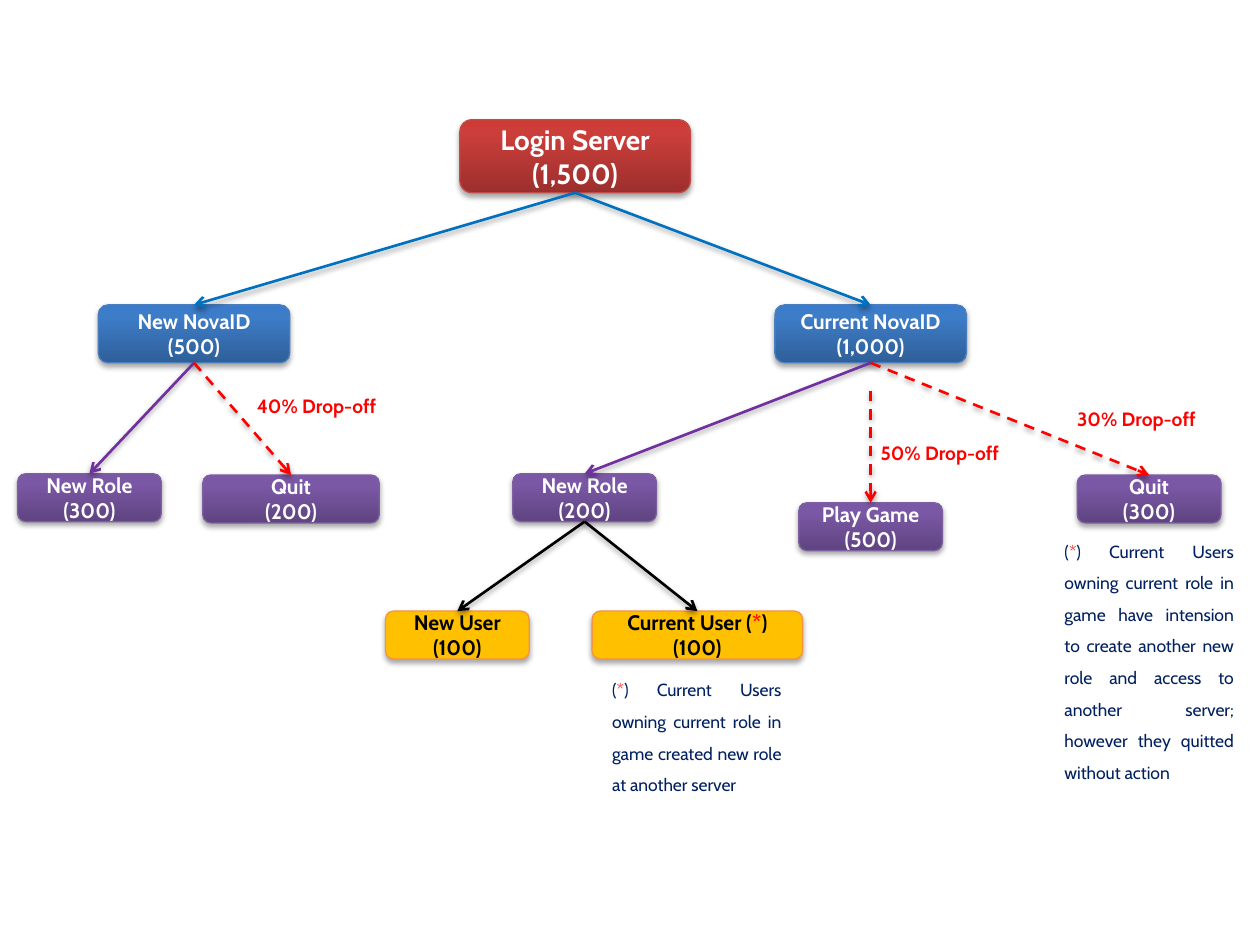
from copy import deepcopy
from dataclasses import dataclass

from lxml import etree
from pptx import Presentation
from pptx.dml.color import RGBColor
from pptx.enum.dml import MSO_LINE
from pptx.enum.shapes import MSO_CONNECTOR, MSO_SHAPE
from pptx.enum.text import MSO_ANCHOR, MSO_AUTO_SIZE, PP_ALIGN
from pptx.oxml.ns import qn
from pptx.util import Inches, Pt

ROUND = MSO_SHAPE.ROUNDED_RECTANGLE
STRAIGHT = MSO_CONNECTOR.STRAIGHT
DASH = MSO_LINE.DASH
MIDDLE = MSO_ANCHOR.MIDDLE
FIT = MSO_AUTO_SIZE.SHAPE_TO_FIT_TEXT
LEFT, CENTER, JUSTIFY = PP_ALIGN.LEFT, PP_ALIGN.CENTER, PP_ALIGN.JUSTIFY
TOP, BOTTOM = 0, 2
WIDE, HIGH = 10, 7.5
COLS, ROWS = 100, 75


@dataclass(frozen=True)
class Look:
    """Fill stops, edge and text colour of one kind of box."""
    fill: tuple
    edge: str
    ink: str = "FFFFFF"


@dataclass(frozen=True)
class Theme:
    """Colours and type sizes of the slide."""
    font: str = "Cabin"
    root: Look = Look(("9C2F2D", "CB3E3A", "CE3B37"), "BF4C48")
    login: Look = Look(("2F5F99", "3D7CC7", "3A7CCB"), "4B7EBC")
    role: Look = Look(("5F4480", "7B58A6", "7C57A8"), "7D60A0")
    user: Look = Look(("FFC000",), "F69240", "000000")
    blue: str = "0070C0"
    purple: str = "7030A0"
    black: str = "000000"
    red: str = "FF0000"
    navy: str = "002060"
    head: int = 16
    body: int = 12
    label: int = 11
    note: int = 10


class Chart:
    """Draws the parts of the tree on one slide."""

    def __init__(self, deck, theme):
        """Add a blank slide to the deck."""
        self.theme = theme
        self.slide = deck.slides.add_slide(deck.slide_layouts[6])
        self.shapes = self.slide.shapes

    def spot(self, col, row):
        """Turn a grid place into lengths."""
        return Inches(col * WIDE / COLS), Inches(row * HIGH / ROWS)

    def letter(self, para, text, size, ink, bold, align):
        """Fill a paragraph, with each star in red."""
        para.alignment = align
        font = para.font
        font.name, font.size, font.bold = self.theme.font, Pt(size), bold
        font.color.rgb = RGBColor.from_string(ink)
        for part in text.replace("*", "|*|").split("|"):
            run = para.add_run()
            run.text = part
            if part == "*":
                run.font.color.rgb = RGBColor.from_string(self.theme.red)

    def paint(self, shape, tones):
        """Fill a shape with one tone or with an upward blend."""
        fill = shape.fill
        if len(tones) == 1:
            fill.solid()
            fill.fore_color.rgb = RGBColor.from_string(tones[0])
            return
        fill.gradient()
        fill.gradient_angle = 90
        stops = shape.element.spPr.find(".//" + qn("a:gsLst"))
        stops.insert(1, deepcopy(stops[0]))
        for stop, tone, place in zip(fill.gradient_stops, tones, (0, 0.8, 1)):
            stop.color.rgb = RGBColor.from_string(tone)
            stop.position = place

    def box(self, col, row, wide, high, name, count, look, size=None):
        """Add a rounded box with a name and a count."""
        shape = self.shapes.add_shape(
            ROUND, *self.spot(col, row), *self.spot(wide, high))
        self.paint(shape, look.fill)
        shape.line.color.rgb = RGBColor.from_string(look.edge)
        shape.line.width = Pt(0.75)
        frame = shape.text_frame
        frame.word_wrap, frame.vertical_anchor = True, MIDDLE
        paras = frame.paragraphs[0], frame.add_paragraph()
        for para, text in zip(paras, (name, f"({count})")):
            self.letter(para, text, size or self.theme.body, look.ink, True, CENTER)
        return shape

    def arrow(self, start, end, tone, dash=False):
        """Join a box or a grid place to the top of a box."""
        free = isinstance(start, tuple)
        place = self.spot(*start) if free else (0, 0)
        line = self.shapes.add_connector(STRAIGHT, *place, *place)
        if not free:
            line.begin_connect(start, BOTTOM)
        line.end_connect(end, TOP)
        line.line.color.rgb = RGBColor.from_string(tone)
        line.line.width = Pt(1.5)
        if dash:
            line.line.dash_style = DASH
        edge = line.element.spPr.find(qn("a:ln"))
        etree.SubElement(edge, qn("a:tailEnd"), type="arrow")

    def text(self, col, row, wide, high, text, size, ink, bold, align):
        """Add a wrapped text box and return its paragraph."""
        shape = self.shapes.add_textbox(
            *self.spot(col, row), *self.spot(wide, high))
        frame = shape.text_frame
        frame.word_wrap, frame.auto_size = True, FIT
        self.letter(frame.paragraphs[0], text, size, ink, bold, align)
        return frame.paragraphs[0]

    def label(self, col, row, share):
        """Add a drop-off label."""
        self.text(col, row, 13.3, 2.9, f"{share}% Drop-off",
                  self.theme.label, self.theme.red, True, LEFT)

    def note(self, col, row, high, text):
        """Add a justified footnote."""
        para = self.text(col, row, 15.4, high,
                         f"(*) Current Users owning current role in game {text}",
                         self.theme.note, self.theme.navy, False, JUSTIFY)
        para.line_spacing = 1.5


def main():
    """Build and save the slide."""
    deck = Presentation()
    deck.slide_width, deck.slide_height = Inches(WIDE), Inches(HIGH)
    theme = Theme()
    tree = Chart(deck, theme)

    root = tree.box(36.5, 9.5, 18.3, 5.8, "Login Server", "1,500", theme.root, theme.head)
    fresh, known = [
        tree.box(col, 24.2, 15.2, 4.6, name, count, theme.login)
        for col, name, count in ((7.8, "New NovaID", "500"),
                                 (61.5, "Current NovaID", "1,000"))]
    first, leave, second, play, drop = [
        tree.box(col, row, wide, 3.8, name, count, theme.role)
        for col, row, wide, name, count in (
            (1.4, 37.6, 11.4, "New Role", 300),
            (16.1, 37.7, 14, "Quit", 200),
            (40.7, 37.6, 11.4, "New Role", 200),
            (63.4, 39.9, 11.4, "Play Game", 500),
            (85.5, 37.7, 11.4, "Quit", 300))]
    users = [
        tree.box(col, 48.5, wide, 3.8, name, 100, theme.user)
        for col, wide, name in ((30.6, 11.4, "New User"),
                                (47, 16.7, "Current User (*)"))]

    for start, ends, tone, dash in (
            (root, (fresh, known), theme.blue, False),
            (fresh, (first,), theme.purple, False),
            (known, (second,), theme.purple, False),
            (second, users, theme.black, False),
            (fresh, (leave,), theme.red, True),
            (known, (drop,), theme.red, True),
            ((69.1, 31), (play,), theme.red, True)):
        for end in ends:
            tree.arrow(start, end, tone, dash)

    tree.note(83.5, 41.6, 23.7, "have intension to create another new role and access "
              "to another server; however they quitted without action")
    tree.note(47.6, 52.6, 11.1, "created new role at another server")
    for col, row, share in ((19.4, 30.8, 40), (84.5, 31.8, 30), (68.9, 34.5, 50)):
        tree.label(col, row, share)
    deck.save("out.pptx")


if __name__ == "__main__":
    main()
